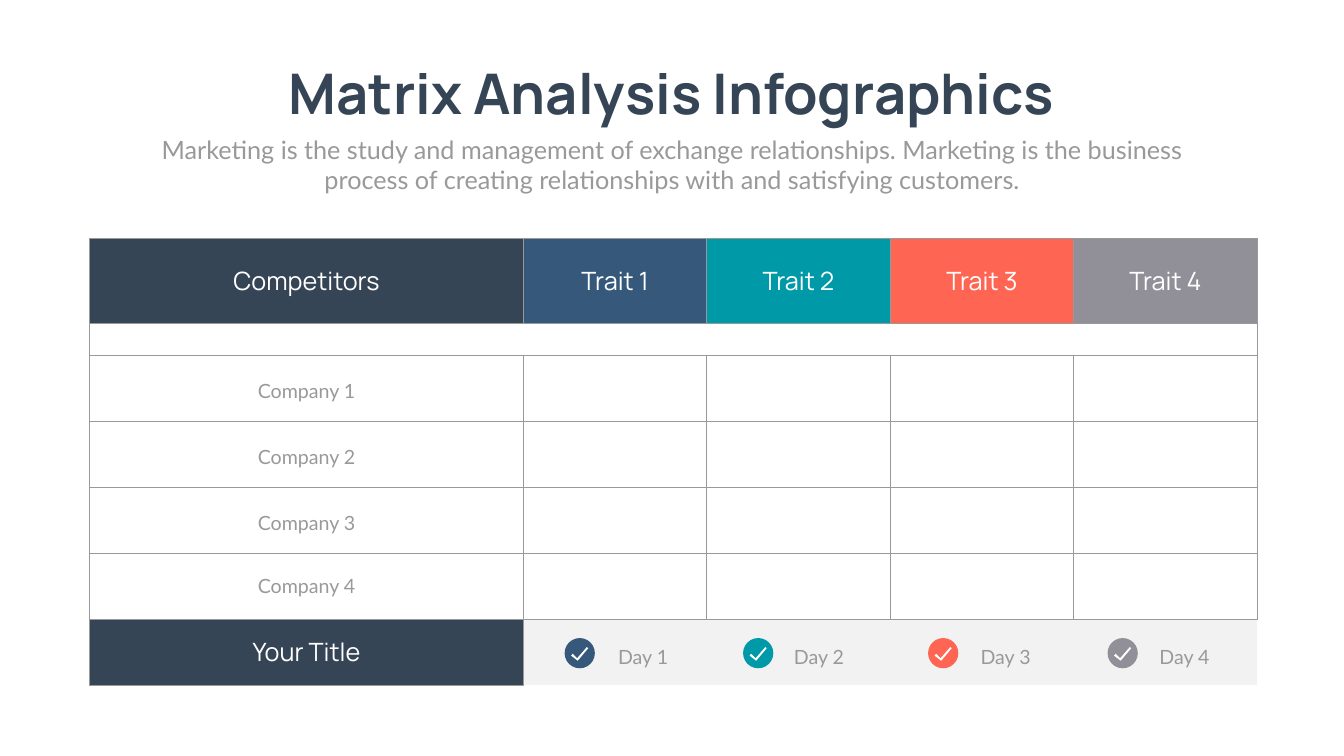
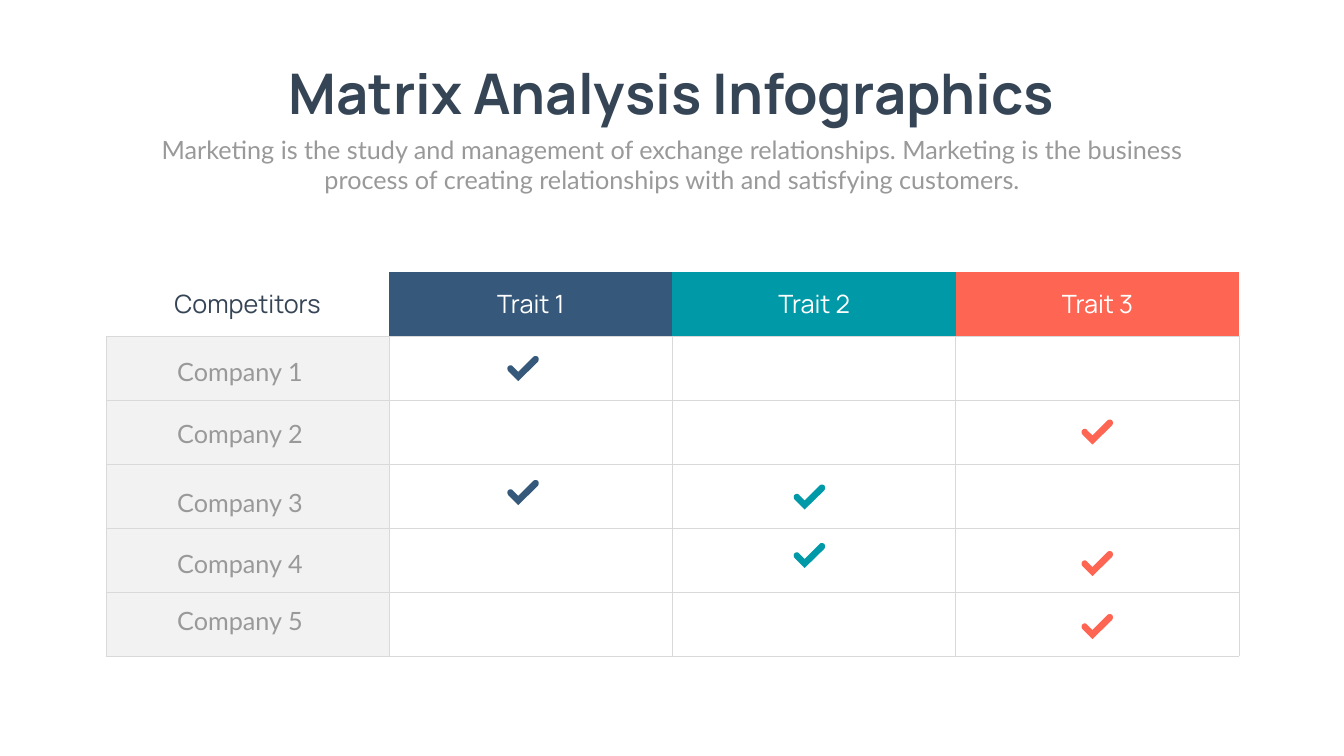
import pptx
import pptx.dml.color
import pptx.enum.shapes
import pptx.enum.text
import pptx.oxml
import pptx.oxml.ns
import pptx.util

Inches = pptx.util.Inches
Pt = pptx.util.Pt
RGBColor = pptx.dml.color.RGBColor
CENTER = pptx.enum.text.PP_ALIGN.CENTER
MIDDLE = pptx.enum.text.MSO_ANCHOR.MIDDLE

NAVY = RGBColor(0x36, 0x45, 0x56)
BLUE = RGBColor(0x36, 0x59, 0x7B)
TEAL = RGBColor(0x00, 0x99, 0xA7)
CORAL = RGBColor(0xFE, 0x66, 0x53)
SLATE = RGBColor(0x91, 0x90, 0x98)
GREY = RGBColor(0x99, 0x99, 0x99)
RULE = RGBColor(0xD9, 0xD9, 0xD9)
PALE = RGBColor(0xF2, 0xF2, 0xF2)
WHITE = RGBColor(0xFF, 0xFF, 0xFF)
TRAIT_COLORS = (BLUE, TEAL, CORAL, SLATE)

HEADING_FONT = "Manrope"
BODY_FONT = "Lato"
TITLE = "Matrix Analysis Infographics"
SUBTITLE = ("Marketing is the study and management of exchange relationships. "
            "Marketing is the business process of creating relationships with "
            "and satisfying customers.")

THIN_TICK = ((0.44, 0.18), (0.47, 0.2), (0.26, 0.45), (0.13, 0.35),
             (0.16, 0.31), (0.25, 0.4))


def curve(start, first, second, end, steps=6):
    """Points along a cubic Bezier curve, both ends included."""
    points = []
    for step in range(steps + 1):
        t = step / steps
        weights = ((1 - t) ** 3, 3 * t * (1 - t) ** 2, 3 * t * t * (1 - t), t ** 3)
        points.append(tuple(
            sum(weight * value for weight, value in zip(weights, values))
            for values in zip(start, first, second, end)))
    return points


ROUND_TICK = [
    (0.22, 0.5),
    *curve((0.02, 0.3), (0, 0.27), (0, 0.23), (0.02, 0.21)),
    *curve((0.02, 0.21), (0.05, 0.18), (0.09, 0.18), (0.11, 0.21)),
    (0.22, 0.32),
    *curve((0.52, 0.02), (0.54, 0), (0.58, 0), (0.61, 0.02)),
    *curve((0.61, 0.02), (0.63, 0.05), (0.63, 0.09), (0.61, 0.12)),
]


class MatrixDeck:
    """Holds the shared style and the slide being filled."""

    def __init__(self):
        self.deck = pptx.Presentation()
        self.deck.slide_width = Inches(26.66)
        self.deck.slide_height = Inches(15)
        self.page = None

    def add_page(self):
        self.page = self.deck.slides.add_slide(self.deck.slide_layouts[6])

    def add_heading(self):
        self.add_text(TITLE, 4.97, 1.12, 16.71, 1.45, 80, NAVY,
                      font=HEADING_FONT, bold=True, wrap=False)
        self.add_text(SUBTITLE, 2.92, 2.61, 20.82, 1.31)

    def style_text(self, para, size, color, font, bold=False):
        for span in para.runs:
            span.font.size = Pt(size)
            span.font.name = font
            span.font.bold = bold
            span.font.color.rgb = color

    def add_text(self, text, left, top, width, height, size=36, color=GREY,
                 font=BODY_FONT, bold=False, wrap=True, align=CENTER):
        box = self.page.shapes.add_textbox(
            Inches(left), Inches(top), Inches(width), Inches(height))
        frame = box.text_frame
        frame.word_wrap = wrap
        frame.auto_size = pptx.enum.text.MSO_AUTO_SIZE.SHAPE_TO_FIT_TEXT
        frame.text = text
        para = frame.paragraphs[0]
        para.alignment = align
        self.style_text(para, size, color, font, bold)
        return frame

    def add_day(self, text, left):
        frame = self.add_text(text, left, 12.58, 3.34, 0.75, size=28, align=None)
        frame.margin_left = frame.margin_right = Inches(0.24)
        frame.margin_top = frame.margin_bottom = Inches(0.12)
        frame.paragraphs[0].line_spacing = Pt(40.8)

    def paint(self, shape, color):
        shape.shadow.inherit = False
        shape.fill.solid()
        shape.fill.fore_color.rgb = color
        shape.line.fill.background()

    def add_outline(self, points, left, top, color, shapes=None):
        corners = [(Inches(left + x), Inches(top + y)) for x, y in points]
        shapes = shapes or self.page.shapes
        builder = shapes.build_freeform(*corners[0])
        builder.add_line_segments(corners[1:], close=True)
        self.paint(builder.convert_to_shape(), color)

    def add_badge(self, left, top, color):
        group = self.page.shapes.add_group_shape()
        disc = group.shapes.add_shape(
            pptx.enum.shapes.MSO_SHAPE.OVAL,
            Inches(left), Inches(top), Inches(0.6), Inches(0.6))
        self.paint(disc, color)
        self.add_outline(THIN_TICK, left, top, WHITE, group.shapes)

    def add_table(self, left, top, widths, heights):
        table = self.page.shapes.add_table(
            len(heights), len(widths), Inches(left), Inches(top),
            Inches(sum(widths)), Inches(sum(heights))).table
        table.first_row = table.horz_banding = False
        for column, width in zip(table.columns, widths):
            column.width = Inches(width)
        for row, height in zip(table.rows, heights):
            row.height = Inches(height)
        return table

    def set_cell(self, cell, fill, border, sides="LRTB"):
        if fill is None:
            cell.fill.background()
        else:
            cell.fill.solid()
            cell.fill.fore_color.rgb = fill
        properties = cell._tc.get_or_add_tcPr()
        for position, side in enumerate("LRTB"):
            paint = "<a:noFill/>"
            if side in sides:
                paint = f'<a:solidFill><a:srgbClr val="{border}"/></a:solidFill>'
            line = pptx.oxml.parse_xml(
                f'<a:ln{side} {pptx.oxml.ns.nsdecls("a")} w="{Pt(1)}">{paint}</a:ln{side}>')
            properties.insert(position, line)

    def write_cell(self, cell, text, size=36, color=WHITE, font=HEADING_FONT, spacing=None):
        cell.text_frame.text = text
        cell.vertical_anchor = MIDDLE
        para = cell.text_frame.paragraphs[0]
        para.alignment = CENTER
        if spacing:
            para.line_spacing = Pt(spacing)
        self.style_text(para, size, color, font)


def build_days_page(matrix):
    matrix.add_page()
    table = matrix.add_table(1.78, 4.73, [8.6] + [3.64] * 4, [1.68, 0.63] + [1.31] * 5)
    gap_sides = ("LTB", "TB", "TB", "TB", "RTB")
    total_sides = ("LRTB", "LT", "T", "T", "T")
    total_row = len(table.rows) - 1
    for column, header_fill in enumerate((NAVY,) + TRAIT_COLORS):
        header = table.cell(0, column)
        matrix.set_cell(header, header_fill, GREY)
        matrix.write_cell(header, f"Trait {column}" if column else "Competitors")
        matrix.set_cell(table.cell(1, column), WHITE, GREY, gap_sides[column])
        for row in range(2, total_row):
            matrix.set_cell(table.cell(row, column), WHITE, GREY)
        matrix.set_cell(table.cell(total_row, column), PALE if column else NAVY,
                        GREY, total_sides[column])
    for number in range(1, 5):
        matrix.write_cell(table.cell(number + 1, 0), f"Company {number}", 28, GREY,
                          BODY_FONT, spacing=43 if number < 4 else None)
    matrix.write_cell(table.cell(total_row, 0), "Your Title")

    label_lefts = (12.02, 15.51, 19.21, 22.76)
    badge_lefts = (11.2, 14.74, 18.41, 21.97)
    for number, left in enumerate(label_lefts, 1):
        matrix.add_day(f"Day {number}", left)
    for left, color in zip(badge_lefts, TRAIT_COLORS):
        matrix.add_badge(left, 12.66, color)
    matrix.add_heading()


def build_ticks_page(matrix):
    matrix.add_page()
    table = matrix.add_table(2.1, 5.4, [5.62] * 4, [1.27] * 6)
    for column, header_fill in enumerate((None,) + TRAIT_COLORS[:3]):
        header = table.cell(0, column)
        matrix.set_cell(header, header_fill, RULE, "B")
        matrix.write_cell(header, f"Trait {column}" if column else "Competitors",
                          color=WHITE if column else NAVY)
        for row in range(1, 6):
            matrix.set_cell(table.cell(row, column), None if column else PALE, RULE)

    for number, top in enumerate((7.02, 8.25, 9.61, 10.83, 11.96), 1):
        matrix.add_text(f"Company {number}", 2.68, top, 4.16, 0.71)
    tick_columns = (
        (10.06, BLUE, (7.06, 9.52)),
        (15.74, TEAL, (9.61, 10.77)),
        (21.45, CORAL, (8.32, 12.18, 10.93)),
    )
    for left, color, tops in tick_columns:
        for top in tops:
            matrix.add_outline(ROUND_TICK, left, top, color)
    matrix.add_heading()


def main():
    matrix = MatrixDeck()
    build_days_page(matrix)
    build_ticks_page(matrix)
    matrix.deck.save("out.pptx")


if __name__ == "__main__":
    main()
